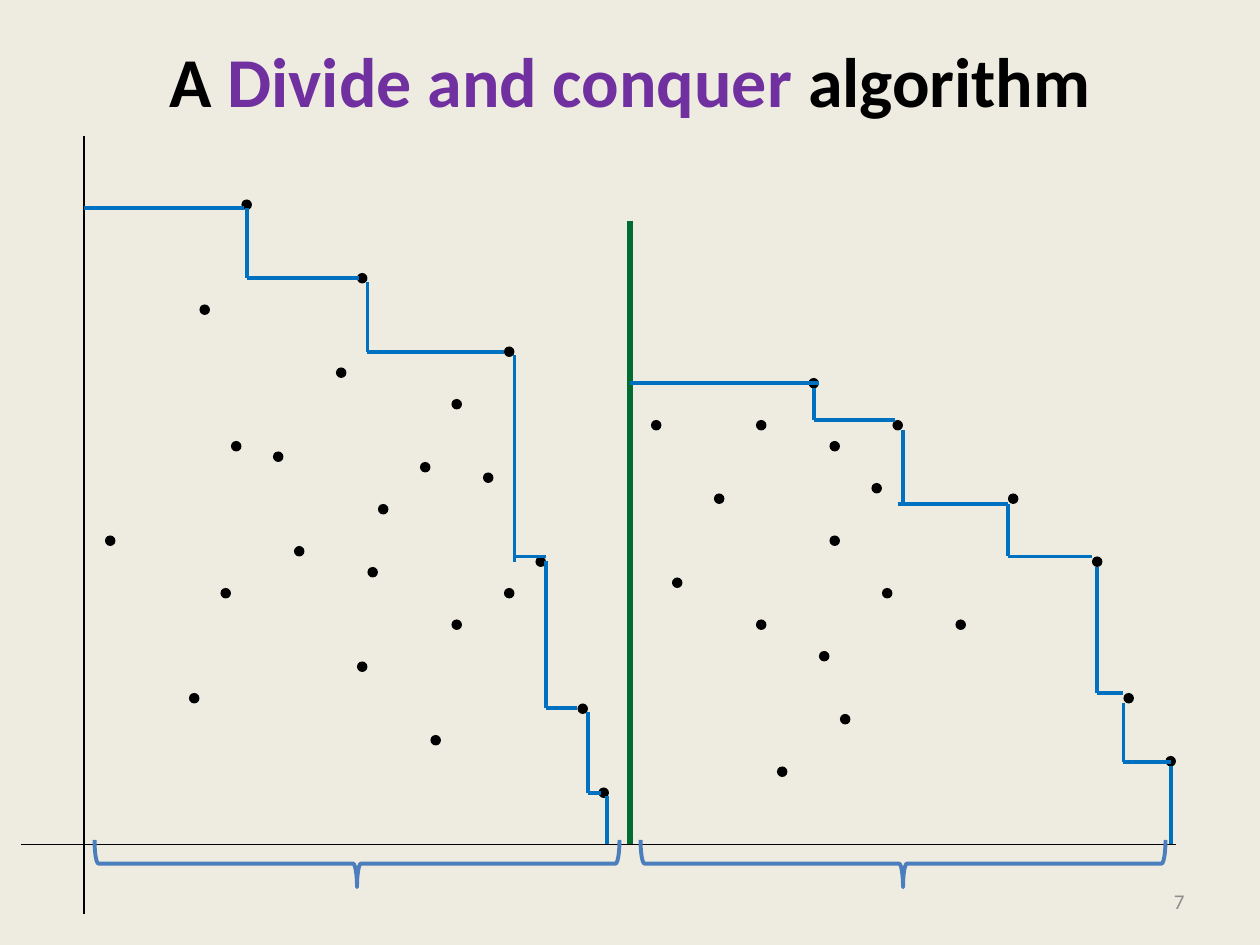
from lxml.etree import SubElement
from pptx import Presentation
from pptx.dml.color import RGBColor
from pptx.enum.shapes import MSO_CONNECTOR, MSO_SHAPE
from pptx.enum.text import MSO_ANCHOR, PP_ALIGN
from pptx.oxml.ns import qn
from pptx.util import Cm, Pt

FONT = "Calibri"
CREAM = RGBColor(0xEE, 0xEC, 0xE1)
BLACK = RGBColor(0, 0, 0)
PURPLE = RGBColor(0x70, 0x30, 0xA0)
GREEN = RGBColor(0x00, 0x6C, 0x31)
BLUE = RGBColor(0x00, 0x70, 0xC0)
BRACE_BLUE = RGBColor(0x4B, 0x7E, 0xBC)
GREY = RGBColor(0x8C, 0x8C, 0x8C)

AXIS_X, AXIS_Y, MEDIAN_X = 8, 80.4, 60

# Top-left corners of the points, in grid units
POINTS = [
    (10, 51), (18, 66), (19, 29), (21, 56), (22, 42), (23, 19), (26, 43),
    (28, 52), (32, 35), (34, 26), (34, 63), (35, 54), (36, 48), (40, 44),
    (41, 70), (43, 38), (43, 59), (46, 45), (48, 33), (48, 56), (51, 53),
    (55, 67), (57, 75), (62, 40), (64, 55), (68, 47), (72, 40), (72, 59),
    (74, 73), (77, 36), (78, 62), (79, 42), (79, 51), (80, 68), (83, 46),
    (84, 56), (85, 40), (91, 59), (96, 47), (104, 53), (107, 66), (111, 72),
]

# Each step: y, start x and end x of the tread, then x, top and bottom of the drop
LEFT_STEPS = [
    (19.8, AXIS_X, 23.2, 23.5, 19.8, 26.5),
    (26.5, 23.5, 34.2, 35, 26.9, 33.5),
    (33.5, 35, 48, 49, 33.8, 53.5),
    (53, 49, 52, 52, 53.4, 67.4),
    (67.4, 52, 55, 56, 67.8, 75.5),
    (75.5, 56, 57.2, 57.8, 75.8, AXIS_Y),
]
RIGHT_STEPS = [
    (36.5, MEDIAN_X, 78, 77.5, 37, 40),
    (40, 77.5, 85.2, 86, 41, 48),
    (48, 85.5, 96, 96, 48, 53),
    (53, 96, 104, 104.5, 54, 66),
    (66, 104.5, 107, 107, 67, 72.6),
    (72.6, 107, 111.5, 111.5, 73, AXIS_Y),
]


def grid(units):
    """Length of a number of grid units; 12 units are 2.54 cm."""
    return Cm(units * 2.54 / 12)


def style_font(font, size, color, bold=False):
    font.name = FONT
    font.size = Pt(size)
    font.bold = bold
    font.color.rgb = color


def add_title(page):
    title = page.shapes.title
    title.left, title.top = Cm(1.27), Cm(0.76)
    title.width, title.height = Cm(22.86), Cm(3.18)
    frame = title.text_frame
    frame.vertical_anchor = MSO_ANCHOR.TOP
    frame.margin_top = 0
    para = frame.paragraphs[0]
    para.alignment = PP_ALIGN.CENTER
    for text, color in (("A ", BLACK), ("Divide and conquer ", PURPLE), ("algorithm", BLACK)):
        span = para.add_run()
        span.text = text
        style_font(span.font, 40, color, bold=True)


def add_page_number(page, number):
    box = page.shapes.add_textbox(Cm(18.2), Cm(17.66), Cm(5.93), Cm(1.01))
    box.text_frame.word_wrap = True
    box.text_frame.vertical_anchor = MSO_ANCHOR.MIDDLE
    para = box.text_frame.paragraphs[0]
    para.alignment = PP_ALIGN.RIGHT
    para.text = number
    style_font(para.runs[0].font, 12, GREY)


def add_point(page, x, y):
    dot = page.shapes.add_shape(MSO_SHAPE.OVAL, grid(x), grid(y), grid(1), grid(1))
    dot.shadow.inherit = False
    dot.fill.solid()
    dot.fill.fore_color.rgb = BLACK
    dot.line.fill.background()


def add_line(shapes, start, end, color, width):
    line = shapes.add_connector(MSO_CONNECTOR.STRAIGHT, *map(grid, start + end))
    line.line.color.rgb = color
    line.line.width = Pt(width)
    SubElement(line._element.spPr, qn("a:effectLst"))


def add_staircase(page, steps):
    stairs = page.shapes.add_group_shape().shapes
    for y, left, right, x, top, bottom in steps:
        add_line(stairs, (left, y), (right, y), BLUE, 2.25)
        add_line(stairs, (x, top), (x, bottom), BLUE, 2.25)


def add_brace_below(page, left, top, width, height):
    """Brace pointing down: an upright one turned a quarter about its centre."""
    shift = (width - height) / 2
    brace = page.shapes.add_shape(MSO_SHAPE.RIGHT_BRACE, grid(left + shift),
                                  grid(top - shift), grid(height), grid(width))
    brace.rotation = 90
    brace.shadow.inherit = False
    brace.fill.background()
    brace.line.color.rgb = BRACE_BLUE
    brace.line.width = Pt(2.25)


def main():
    deck = Presentation()
    deck.slide_width, deck.slide_height = Cm(25.4), Cm(19.05)
    page = deck.slides.add_slide(deck.slide_layouts[5])
    page.background.fill.solid()
    page.background.fill.fore_color.rgb = CREAM

    add_title(page)
    add_page_number(page, "7")
    for x, y in POINTS:
        add_point(page, x, y)
    add_line(page.shapes, (MEDIAN_X, 21), (MEDIAN_X, AXIS_Y), GREEN, 3)
    add_line(page.shapes, (AXIS_X, 13), (AXIS_X, 87), BLACK, 0.75)
    add_line(page.shapes, (2, AXIS_Y), (112, AXIS_Y), BLACK, 0.75)
    for left in (9, 61):
        add_brace_below(page, left, 80, 50, 4.5)
    for steps in (LEFT_STEPS, RIGHT_STEPS):
        add_staircase(page, steps)

    deck.save("out.pptx")


if __name__ == "__main__":
    main()
